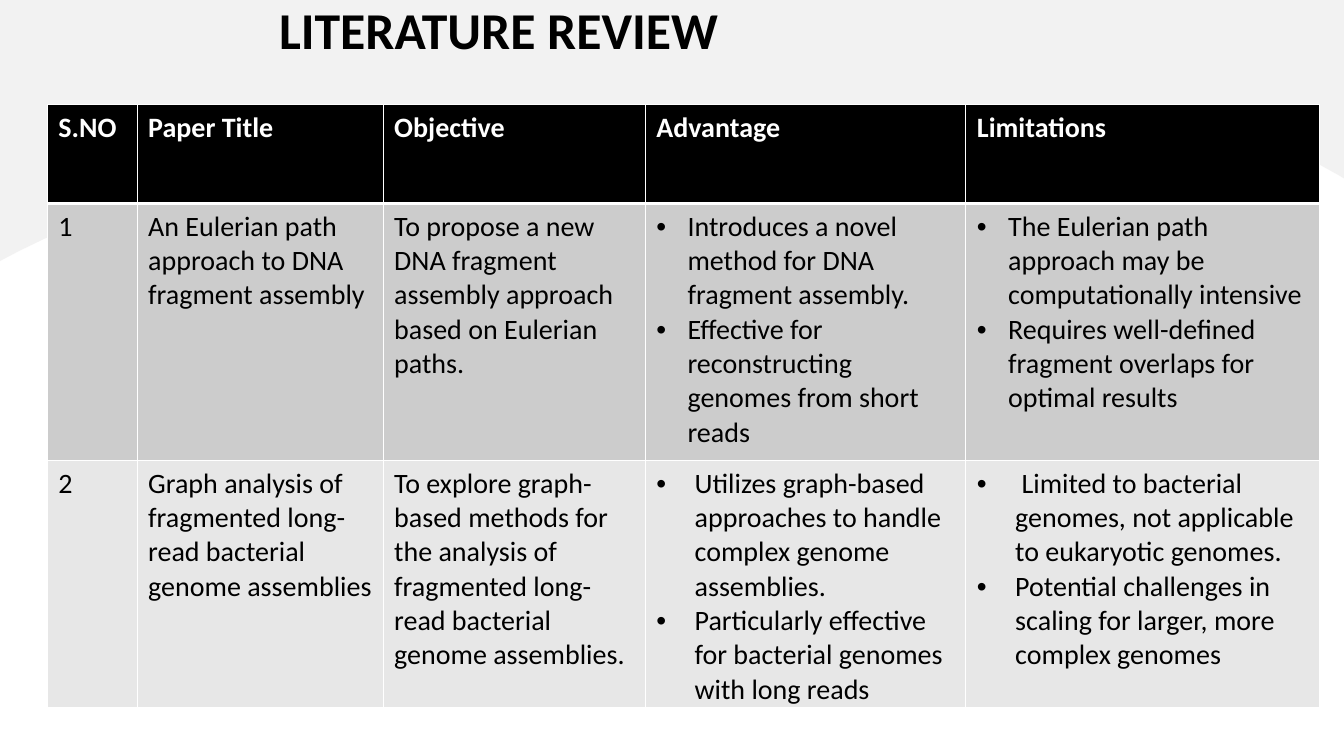
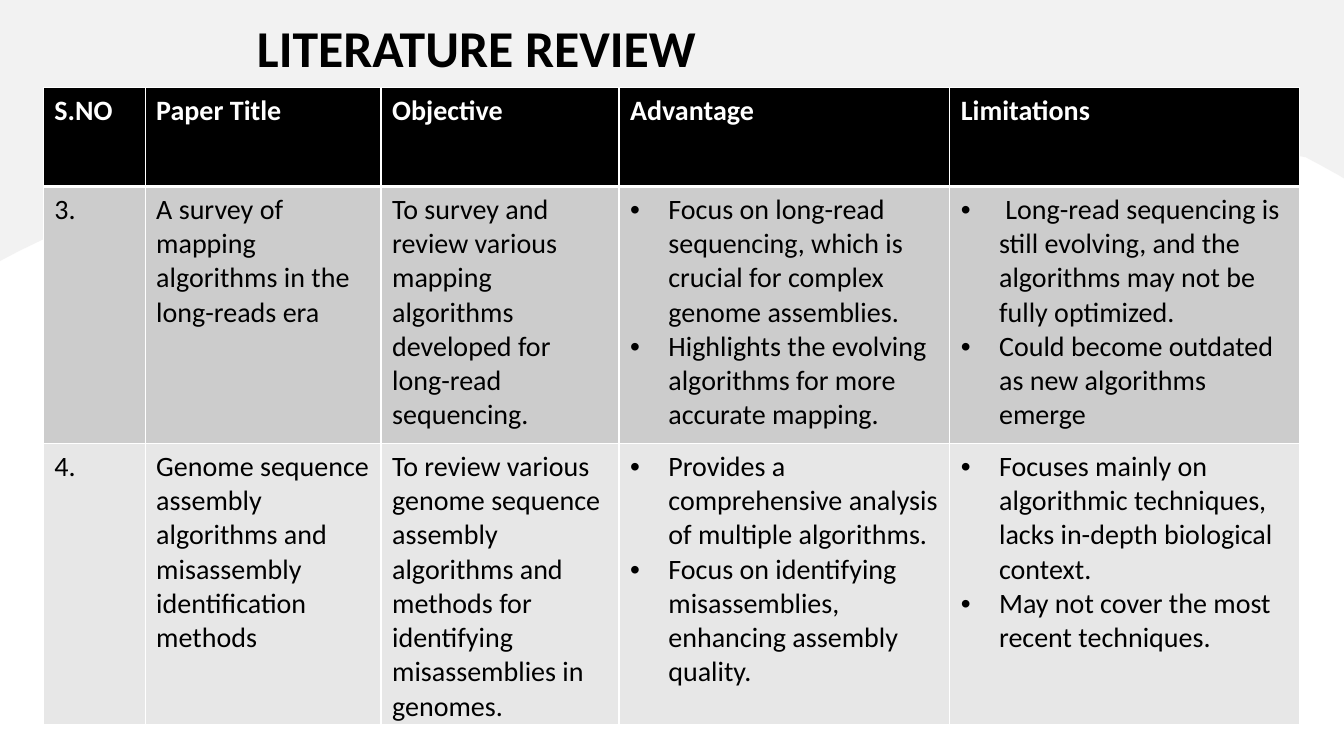
import pptx
import pptx.dml.color
import pptx.enum.text
import pptx.oxml.ns
import pptx.util
from lxml import etree

PX = 9144  # EMU in one px, 100 px to the inch
SLIDE_WIDTH, SLIDE_HEIGHT = 1333, 750
FONT = "Calibri"
TITLE_SIZE, TABLE_SIZE = 36.9, 20
COLORS = {
    "band": "E7E6E6",
    "title": "000000",
    "header": "000000",
    "header_text": "FFFFFF",
    "body_text": "000000",
    "odd_row": "CCCCCC",
    "even_row": "E7E7E7",
    "border": "FFFFFF",
}
HEADINGS = ["S.NO", "Paper Title", "Objective", "Advantage", "Limitations"]

# Ragged lower edge of the band, from left to right
BAND_EDGE = [
    (0, 259), (19, 249), (46, 236), (66, 231), (82, 221), (96, 213), (113, 208),
    (120, 215), (150, 206), (200, 196), (239, 177), (261, 164), (274, 156),
    (305, 151), (308, 150), (325, 161), (331, 151), (342, 156), (353, 160),
    (376, 149), (399, 154), (416, 165), (436, 165), (440, 175), (463, 177),
    (471, 196), (505, 191), (527, 180), (538, 178), (562, 181), (571, 190),
    (577, 192), (587, 196), (587, 208), (605, 197), (629, 191), (654, 199),
    (664, 199), (701, 190), (713, 186), (736, 188), (747, 194), (760, 188),
    (793, 186), (818, 193), (851, 202), (862, 193), (884, 191), (921, 202),
    (933, 208), (932, 196), (944, 192), (950, 190), (965, 181), (989, 178),
    (1002, 180), (1030, 190), (1067, 196), (1076, 177), (1103, 175),
    (1109, 166), (1130, 165), (1150, 154), (1177, 149), (1204, 160),
    (1216, 156), (1228, 151), (1236, 161), (1256, 150), (1284, 154),
    (1295, 156), (1310, 164), (1328, 174), (1333, 177),
]

# Lists of strings are bulleted cells; each row has its bullet indent in px
REVIEWS = [
    {
        "title_box": (267, 1, 1066, 63),
        "table_at": (47, 104),
        "columns": [89, 244, 260, 318, 351],
        "rows": [98, 255, 244],
        "papers": [
            (31, ["1",
                  "An Eulerian path approach to DNA fragment assembly",
                  "To propose a new DNA fragment assembly approach based on Eulerian paths.",
                  ["Introduces a novel method for DNA fragment assembly.",
                   "Effective for reconstructing genomes from short reads"],
                  ["The Eulerian path approach may be computationally intensive",
                   "Requires well-defined fragment overlaps for optimal results"]]),
            (38, ["2",
                  "Graph analysis of fragmented long-read bacterial genome assemblies",
                  "To explore graph-based methods for the analysis of fragmented "
                  "long-read bacterial genome assemblies.",
                  ["Utilizes graph-based approaches to handle complex genome assemblies.",
                   "Particularly effective for bacterial genomes with long reads"],
                  [" Limited to bacterial genomes, not applicable to eukaryotic genomes.",
                   "Potential challenges in scaling for larger, more complex genomes"]]),
        ],
    },
    {
        "title_box": (245, 25, 1088, 51),
        "table_at": (43, 87),
        "columns": [101, 234, 236, 328, 347],
        "rows": [98, 255, 278],
        "papers": [
            (38, ["3.",
                  "A survey of mapping algorithms in the long-reads era",
                  "To survey and review various mapping algorithms developed for "
                  "long-read sequencing.",
                  ["Focus on long-read sequencing, which is crucial for complex "
                   "genome assemblies.",
                   "Highlights the evolving algorithms for more accurate mapping."],
                  [" Long-read sequencing is still evolving, and the algorithms may "
                   "not be fully optimized.",
                   "Could become outdated as new algorithms emerge"]]),
            (38, ["4.",
                  "Genome sequence assembly algorithms and misassembly identification methods",
                  "To review various genome sequence assembly algorithms and methods "
                  "for identifying misassemblies in genomes.",
                  ["Provides a comprehensive analysis of multiple algorithms.",
                   "Focus on identifying misassemblies, enhancing assembly quality."],
                  ["Focuses mainly on algorithmic techniques, lacks in-depth "
                   "biological context.",
                   "May not cover the most recent techniques."]]),
        ],
    },
]


def px(length):
    return pptx.util.Emu(length * PX)


def rgb(name):
    return pptx.dml.color.RGBColor.from_string(COLORS[name])


def sub(parent, tag, **attributes):
    return etree.SubElement(parent, pptx.oxml.ns.qn(tag), attributes)


def style_font(paragraph, size, color, bold):
    font = paragraph.font
    font.name, font.size, font.bold = FONT, pptx.util.Pt(size), bold
    font.color.rgb = rgb(color)


def add_band(slide):
    builder = slide.shapes.build_freeform(0, 0, scale=PX)
    builder.add_line_segments(BAND_EDGE + [(SLIDE_WIDTH, 0)], close=True)
    band = builder.convert_to_shape()
    band.shadow.inherit = False
    band.line.fill.background()
    band.fill.solid()
    band.fill.fore_color.rgb = rgb("band")
    tint = band.fill._xPr.find(".//" + pptx.oxml.ns.qn("a:srgbClr"))
    sub(tint, "a:alpha", val="50000")


def add_title(slide, box):
    frame = slide.shapes.add_textbox(*map(px, box)).text_frame
    frame.word_wrap = True
    frame.vertical_anchor = pptx.enum.text.MSO_ANCHOR.MIDDLE
    heading = frame.paragraphs[0]
    heading.text = "LITERATURE REVIEW"
    heading.line_spacing = 0.9
    style_font(heading, TITLE_SIZE, "title", True)


def set_borders(cell, top, bottom):
    """Draw the four cell borders, which must precede the fill."""
    properties = cell._tc.get_or_add_tcPr()
    widths = {"a:lnL": 1, "a:lnR": 1, "a:lnT": top, "a:lnB": bottom}
    for position, (side, width) in enumerate(widths.items()):
        border = sub(properties, side, w=str(pptx.util.Pt(width)))
        sub(sub(border, "a:solidFill"), "a:srgbClr", val=COLORS["border"])
        properties.insert(position, border)


def add_bullet(paragraph, indent):
    properties = paragraph._p.get_or_add_pPr()
    properties.set("marL", str(px(indent)))
    properties.set("indent", str(-px(indent)))
    sub(properties, "a:buFont", typeface="Arial")
    sub(properties, "a:buChar", char="•")


def fill_cell(cell, content, fill, color, bold=False, indent=0):
    cell.margin_left = cell.margin_right = px(11)
    cell.margin_top = cell.margin_bottom = px(6)
    cell.fill.solid()
    cell.fill.fore_color.rgb = rgb(fill)
    bulleted = isinstance(content, list)
    cell.text = "\n".join(content) if bulleted else content
    for paragraph in cell.text_frame.paragraphs:
        if bulleted:
            add_bullet(paragraph, indent)
        style_font(paragraph, TABLE_SIZE, color, bold)


def add_review_table(slide, review):
    columns, rows = review["columns"], review["rows"]
    table = slide.shapes.add_table(
        len(rows), len(columns), *map(px, review["table_at"]),
        px(sum(columns)), px(sum(rows))).table
    table.horz_banding = False
    for column, width in zip(table.columns, columns):
        column.width = px(width)
    for row, height in zip(table.rows, rows):
        row.height = px(height)

    # Header row, set off by a thick rule
    for cell, heading in zip(table.rows[0].cells, HEADINGS):
        fill_cell(cell, heading, "header", "header_text", bold=True)
        set_borders(cell, top=1, bottom=3)

    # One row for each paper
    for number, (indent, contents) in enumerate(review["papers"], start=1):
        fill = "odd_row" if number % 2 else "even_row"
        for cell, content in zip(table.rows[number].cells, contents):
            fill_cell(cell, content, fill, "body_text", indent=indent)
            set_borders(cell, top=3 if number == 1 else 1, bottom=1)


def main():
    deck = pptx.Presentation()
    deck.slide_width, deck.slide_height = px(SLIDE_WIDTH), px(SLIDE_HEIGHT)
    for review in REVIEWS:
        slide = deck.slides.add_slide(deck.slide_layouts[6])
        add_band(slide)
        add_title(slide, review["title_box"])
        add_review_table(slide, review)
    deck.save("out.pptx")


if __name__ == "__main__":
    main()
